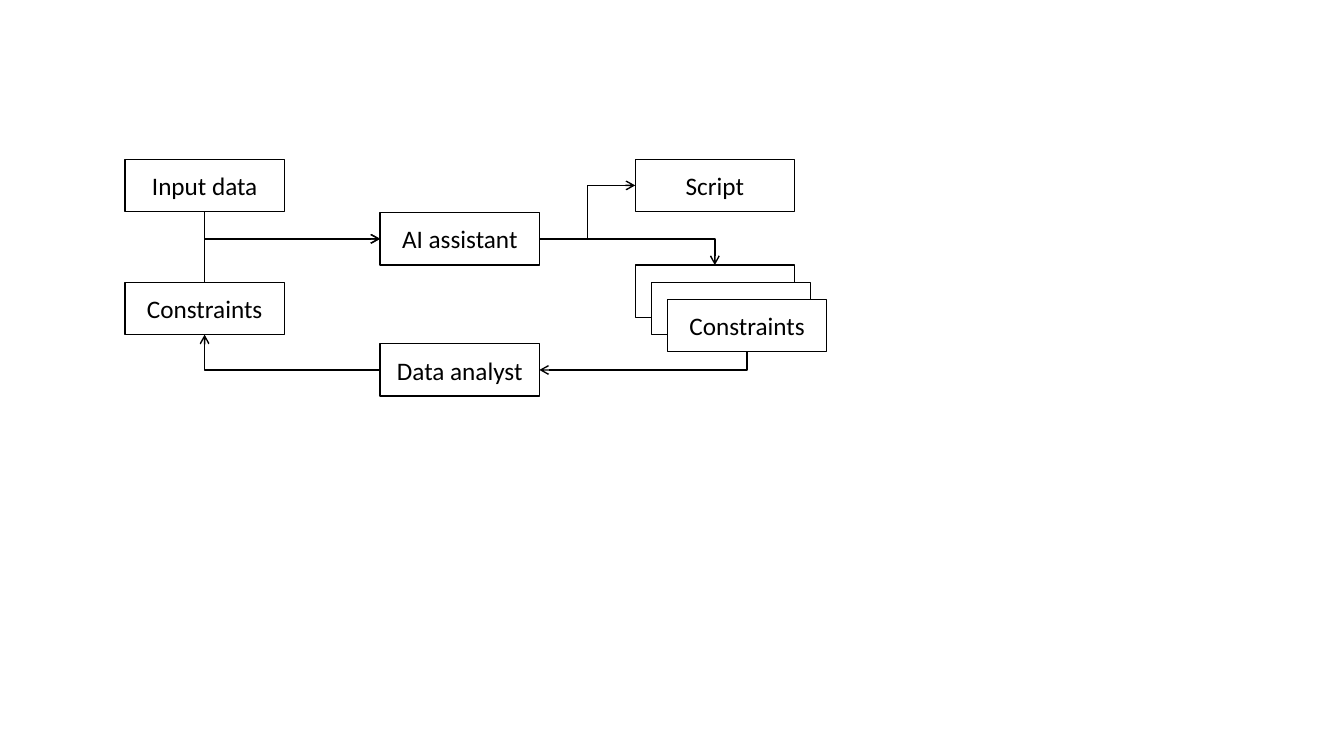
import pptx
import pptx.util
import pptx.dml.color
import pptx.enum.shapes
import pptx.enum.text
import pptx.oxml.ns
import lxml.etree

Inches = pptx.util.Inches
THEME = {
    "ink": pptx.dml.color.RGBColor(0, 0, 0),
    "paper": pptx.dml.color.RGBColor(255, 255, 255),
    "font": "Calibri",
    "size": pptx.util.Pt(18),
    "line": pptx.util.Pt(1),
}
BOX_WIDTH, BOX_HEIGHT = 1.58, 0.52
TOP, LEFT, BOTTOM, RIGHT = range(4)  # connection sites of a rectangle

deck = pptx.Presentation()
deck.slide_width, deck.slide_height = Inches(13.33), Inches(7.5)
page = deck.slides.add_slide(deck.slide_layouts[6])


def add_box(left, top, label=""):
    box = page.shapes.add_shape(
        pptx.enum.shapes.MSO_SHAPE.RECTANGLE,
        Inches(left), Inches(top), Inches(BOX_WIDTH), Inches(BOX_HEIGHT))
    box.shadow.inherit = False
    box.fill.solid()
    box.fill.fore_color.rgb = THEME["paper"]
    box.line.color.rgb = THEME["ink"]
    box.line.width = THEME["line"]
    if label:
        frame = box.text_frame
        frame.text = label
        frame.vertical_anchor = pptx.enum.text.MSO_ANCHOR.MIDDLE
        para = frame.paragraphs[0]
        para.alignment = pptx.enum.text.PP_ALIGN.CENTER
        font = para.runs[0].font
        font.name, font.size = THEME["font"], THEME["size"]
        font.color.rgb = THEME["ink"]
    return box


def add_arrow(source, source_site, target, target_site):
    arrow = page.shapes.add_connector(pptx.enum.shapes.MSO_CONNECTOR.ELBOW, 0, 0, 0, 0)
    arrow.begin_connect(source, source_site)
    arrow.end_connect(target, target_site)
    properties = arrow._element.spPr

    # Perpendicular sites need a single bend
    if source_site % 2 != target_site % 2:
        properties.find(pptx.oxml.ns.qn("a:prstGeom")).set("prst", "bentConnector2")
    # A route that starts vertically is a horizontal one turned by 90 degrees
    if source_site in (TOP, BOTTOM):
        across, down = arrow.end_x - arrow.begin_x, arrow.end_y - arrow.begin_y
        middle_x = (arrow.begin_x + arrow.end_x) // 2
        middle_y = (arrow.begin_y + arrow.end_y) // 2
        arrow.begin_x, arrow.end_x = middle_x - down // 2, middle_x + down // 2
        arrow.begin_y, arrow.end_y = middle_y + across // 2, middle_y - across // 2
        properties.find(pptx.oxml.ns.qn("a:xfrm")).set("rot", str(90 * 60000))

    arrow.line.color.rgb = THEME["ink"]
    arrow.line.width = THEME["line"]
    head = lxml.etree.SubElement(arrow.line._get_or_add_ln(), pptx.oxml.ns.qn("a:tailEnd"))
    head.set("type", "arrow")
    lxml.etree.SubElement(properties, pptx.oxml.ns.qn("a:effectLst"))


# Middle column
assistant = add_box(3.77, 2.11, "AI assistant")
analyst = add_box(3.77, 3.41, "Data analyst")

# Results: the script and a stack of constraints
script = add_box(6.3, 1.58, "Script")
stack = [add_box(6.3 + 0.16 * layer, 2.63 + 0.17 * layer, label)
         for layer, label in enumerate(["", "", "Constraints"])]

# Inputs
constraints = add_box(1.24, 2.8, "Constraints")
input_data = add_box(1.24, 1.58, "Input data")

# Flow
for route in [
    (analyst, LEFT, constraints, BOTTOM),
    (constraints, TOP, assistant, LEFT),
    (input_data, BOTTOM, assistant, LEFT),
    (assistant, RIGHT, script, LEFT),
    (assistant, RIGHT, stack[0], TOP),
    (stack[-1], BOTTOM, analyst, RIGHT),
]:
    add_arrow(*route)

deck.save("out.pptx")
